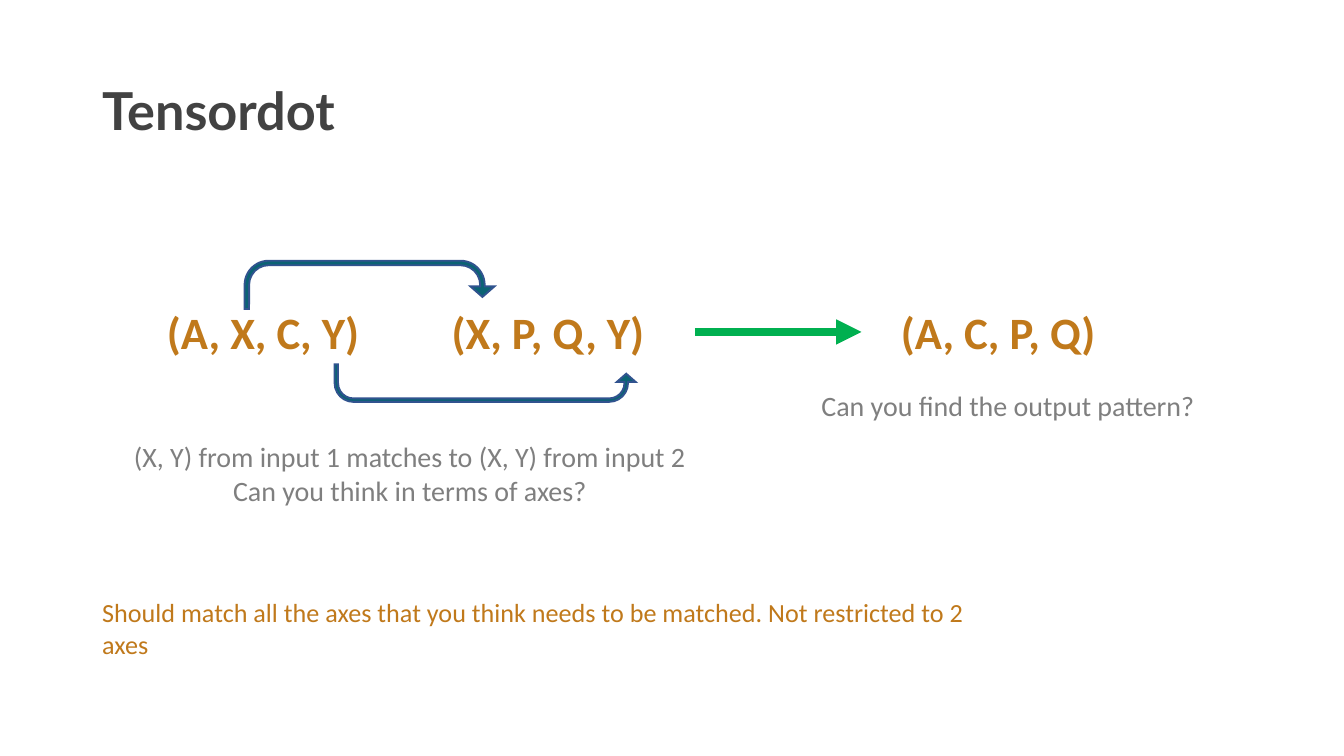
from lxml import etree
from pptx import Presentation
from pptx import util as u
from pptx.dml.color import RGBColor
from pptx.enum import shapes, text
from pptx.oxml import ns

COLORS = {
    "title": "424242",
    "accent": "C0791B",
    "note": "7F7F7F",
    "turn_fill": "0B6374",
    "turn_line": "31538F",
    "result": "00B050",
}


def color(name):
    return RGBColor.from_string(COLORS[name])


def add_text(page, place, lines, size, ink, font="Calibri", bold=False,
             align=text.PP_ALIGN.CENTER, anchor=text.MSO_ANCHOR.TOP, spacing=None):
    box = page.shapes.add_textbox(*[u.Inches(length) for length in place])
    frame = box.text_frame
    frame.word_wrap = True
    frame.vertical_anchor = anchor
    frame.margin_left = frame.margin_right = u.Inches(0.07)
    frame.margin_top = frame.margin_bottom = u.Inches(0.04)
    frame.text = "\n".join(lines)
    for para in frame.paragraphs:
        para.alignment = align
        para.line_spacing = spacing
        para.font.name = font
        para.font.size = u.Pt(size)
        para.font.bold = bold
        para.font.color.rgb = color(ink)


# Widescreen page, 16 by 9
deck = Presentation()
deck.slide_width = u.Inches(10)
deck.slide_height = u.Inches(10 * 9 / 16)
page = deck.slides.add_slide(deck.slide_layouts[6])

# Title
add_text(page, (0.69, 0.3, 8.62, 1.09), ["Tensordot"], 28, "title", font="Lato",
         bold=True, align=text.PP_ALIGN.LEFT, anchor=text.MSO_ANCHOR.MIDDLE, spacing=0.9)

# Input and output shapes; the closing space shifts the centred text slightly
for left, axes in [(0.94, "(A, X, C, Y) "), (3.06, "(X, P, Q, Y) "), (6.41, "(A, C, P, Q) ")]:
    add_text(page, (left, 2.23, 2.11, 0.48), [axes], 24, "accent", bold=True)

# U-turn arrows joining the matched axes: X above, Y below
for place, below in [((1.82, 1.94, 1.86, 0.36), False), ((2.49, 2.71, 2.24, 0.28), True)]:
    turn = page.shapes.add_shape(shapes.MSO_SHAPE.U_TURN_ARROW,
                                 *[u.Inches(length) for length in place])
    turn.shadow.inherit = False
    for index, value in enumerate([0.094, 0.25, 0.219, 0.5, 0.75]):
        turn.adjustments[index] = value
    turn.fill.solid()
    turn.fill.fore_color.rgb = color("turn_fill")
    turn.line.color.rgb = color("turn_line")
    turn.line.width = u.Pt(1)
    outline = turn._element.spPr.find(ns.qn("a:ln"))
    etree.SubElement(outline, ns.qn("a:miter"), lim="800000")
    if below:
        turn.rotation = 180
        turn._element.spPr.find(ns.qn("a:xfrm")).set("flipH", "1")

# Arrow from inputs to output
arrow = page.shapes.add_connector(shapes.MSO_CONNECTOR.STRAIGHT, u.Inches(5.17),
                                  u.Inches(2.47), u.Inches(6.41), u.Inches(2.47))
arrow.line.color.rgb = color("result")
arrow.line.width = u.Pt(4.5)
arrow_line = arrow._element.spPr.find(ns.qn("a:ln"))
etree.SubElement(arrow_line, ns.qn("a:tailEnd"), type="triangle")
etree.SubElement(arrow._element.spPr, ns.qn("a:effectLst"))

# Questions under the shapes
add_text(page, (0.18, 3.23, 5.74, 0.58),
         ["(X, Y) from input 1 matches to (X, Y) from input 2",
          "Can you think in terms of axes?"], 15, "note")
add_text(page, (5.92, 2.85, 3.16, 0.33), ["Can you find the output pattern?"], 15, "note")

# Closing remark
add_text(page, (0.69, 4.4, 6.77, 0.3),
         ["Should match all the axes that you think needs to be matched. "
          "Not restricted to 2 axes"], 14, "accent", align=text.PP_ALIGN.LEFT)

deck.save("out.pptx")
